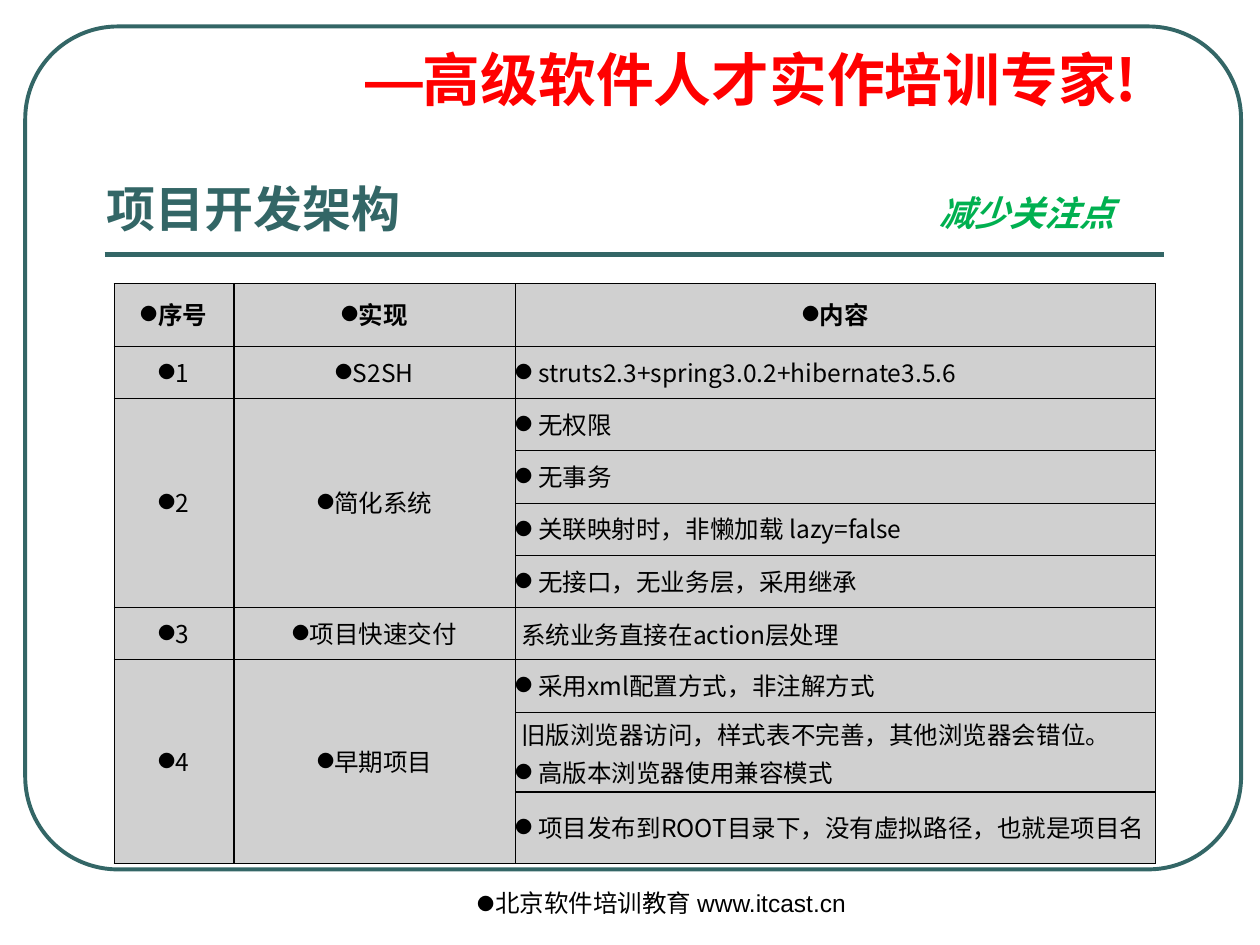
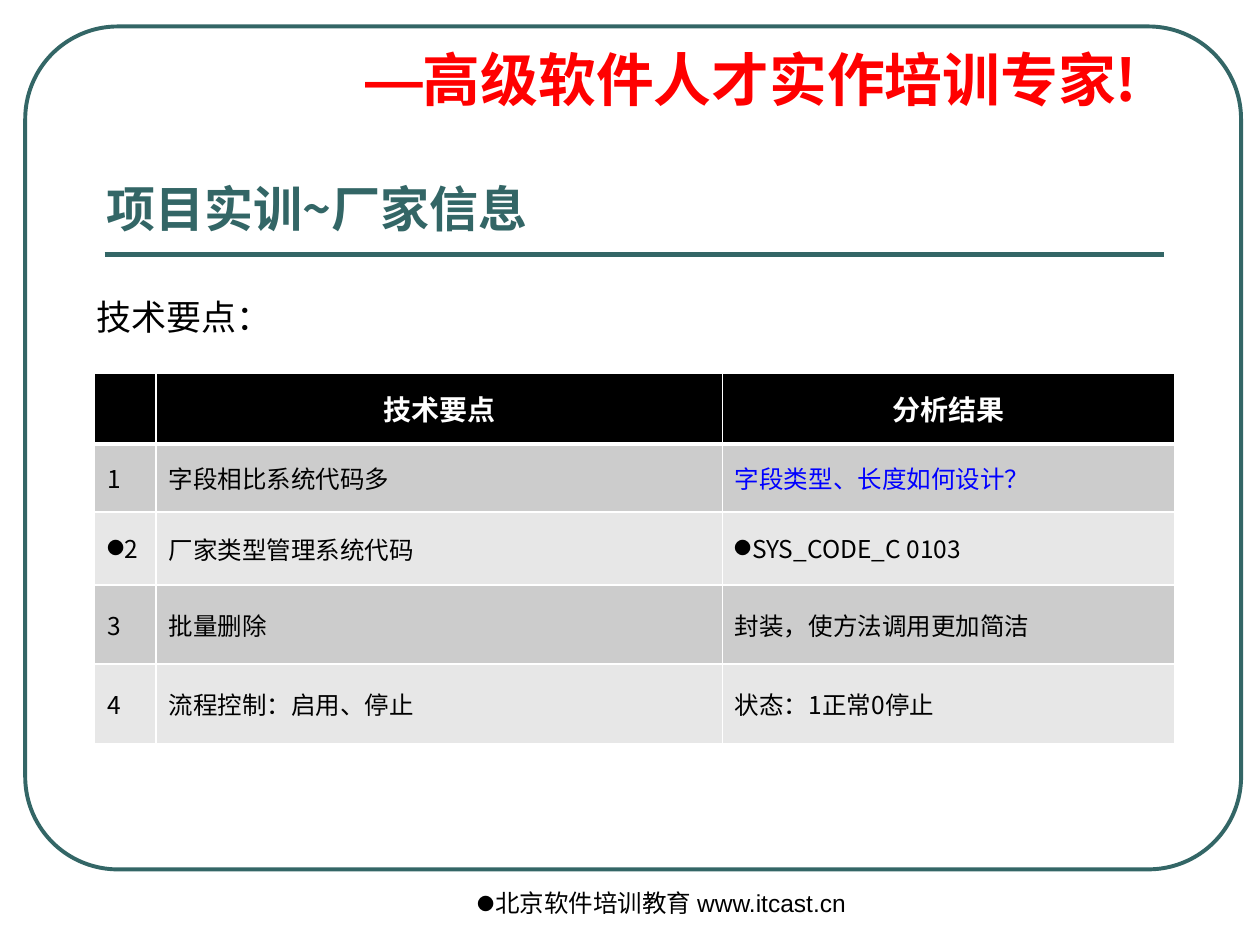
from dataclasses import dataclass

from lxml.etree import SubElement
from pptx import Presentation
from pptx.dml.color import RGBColor
from pptx.enum.shapes import MSO_CONNECTOR, MSO_SHAPE
from pptx.enum.text import MSO_ANCHOR, PP_ALIGN
from pptx.oxml.ns import qn
from pptx.util import Pt


@dataclass(frozen=True)
class Theme:
    teal: str = "336666"
    red: str = "FF0000"
    green: str = "00B050"
    blue: str = "0000FF"
    black: str = "000000"
    white: str = "FFFFFF"
    grid_gray: str = "D0D0D0"
    band_dark: str = "CCCCCC"
    band_light: str = "E7E7E7"
    cjk: str = "Noto Sans CJK SC"
    cjk_alt: str = "Noto Sans CJK JP"
    latin: str = "Arial"
    dash: str = "Montserrat"
    banner: int = 33
    title: int = 28
    label: int = 20
    head: int = 16
    body: int = 14


T = Theme()
LEFT, CENTER = PP_ALIGN.LEFT, PP_ALIGN.CENTER
BULLET = "●"


def rgb(color):
    return RGBColor.from_string(color)


def add_bullet(p):
    pPr = p._p.get_or_add_pPr()
    pPr.set("marL", "0")
    pPr.set("indent", "0")
    clr = SubElement(pPr, qn("a:buClr"))
    SubElement(clr, qn("a:srgbClr"), val=T.black)
    SubElement(pPr, qn("a:buSzPct"), val="70000")
    SubElement(pPr, qn("a:buFont"), typeface=T.cjk)
    SubElement(pPr, qn("a:buChar"), char=BULLET)


def write(tf, text, size=T.body, font=T.cjk, ea=None, color=T.black, bold=False,
          italic=False, align=LEFT, spacing=None, join=False):
    for i, line in enumerate(text.split("\n")):
        p = tf.add_paragraph() if i else tf.paragraphs[-1]
        if not join:
            p.alignment = align
            if line.startswith(BULLET):
                add_bullet(p)
                line = line[1:]
                p.line_spacing = 0.9
            if spacing:
                p.line_spacing = spacing
            if i:
                p.space_before = Pt(3)
        r = p.add_run()
        r.text = line
        r.font.size = Pt(size)
        r.font.bold = bold
        r.font.italic = italic
        r.font.color.rgb = rgb(color)
        r.font.name = font
        SubElement(r._r.get_or_add_rPr(), qn("a:ea"), typeface=ea or font)


def set_borders(cell, color, width, bottom):
    tcPr = cell._tc.get_or_add_tcPr()
    for i, side in enumerate("LRTB"):
        w = bottom if side == "B" else width
        ln = tcPr.makeelement(qn(f"a:ln{side}"), {"w": str(Pt(w))})
        fill = SubElement(ln, qn("a:solidFill"))
        SubElement(fill, qn("a:srgbClr"), val=color)
        tcPr.insert(i, ln)


class Deck:
    def __init__(self):
        self.prs = Presentation()
        self.prs.slide_width, self.prs.slide_height = Pt(720), Pt(540)
        self.s = None

    def text(self, x, y, w, h, text, wrap=True, anchor=MSO_ANCHOR.TOP, **fmt):
        tf = self.s.shapes.add_textbox(Pt(x), Pt(y), Pt(w), Pt(h)).text_frame
        tf.word_wrap = wrap
        tf.vertical_anchor = anchor
        write(tf, text, **fmt)
        return tf

    def frame(self, x, y, w, h):
        sp = self.s.shapes.add_shape(MSO_SHAPE.ROUNDED_RECTANGLE, Pt(x), Pt(y), Pt(w), Pt(h))
        sp.adjustments[0] = 0.11
        sp.shadow.inherit = False
        sp.fill.background()
        sp.line.color.rgb = rgb(T.teal)
        sp.line.width = Pt(2.25)

    def rule(self, x1, x2, y):
        c = self.s.shapes.add_connector(MSO_CONNECTOR.STRAIGHT, Pt(x1), Pt(y), Pt(x2), Pt(y))
        c.line.color.rgb = rgb(T.teal)
        c.line.width = Pt(3)
        SubElement(c._element.spPr, qn("a:effectLst"))

    def slide(self, title):
        self.s = self.prs.slides.add_slide(self.prs.slide_layouts[6])
        self.frame(14.4, 15.1, 694.8, 481.7)
        self.rule(59.8, 665.3, 145.4)
        tf = self.text(201.6, 25.9, 476, 43.2, "—", size=T.banner, font=T.dash,
                       color=T.red, bold=True, spacing=0.9)
        write(tf, "高级软件人才实作培训专家!", size=T.banner, color=T.red, bold=True, join=True)
        pPr = tf.paragraphs[0]._p.get_or_add_pPr()
        pPr.set("marL", str(Pt(27)))
        pPr.set("indent", str(-Pt(27)))
        self.text(264.2, 504, 228.2, 36, BULLET + "北京软件培训教育 www.itcast.cn",
                  font=T.latin, ea=T.cjk, align=CENTER, spacing=1.0)
        self.text(54, 25.9, 606.2, 139 - 25.9, title, size=T.title, color=T.teal,
                  bold=True, anchor=MSO_ANCHOR.BOTTOM)

    def table(self, x, y, cols, heights, rows, fills, border, width, aligns,
              head, colors=None, merges=(), inset=None, head_rule=None):
        gf = self.s.shapes.add_table(len(rows), len(cols), Pt(x), Pt(y),
                                     Pt(sum(cols)), Pt(sum(heights)))
        tbl = gf.table
        tbl.first_row = tbl.horz_banding = False
        for col, w in zip(tbl.columns, cols):
            col.width = Pt(w)
        for i, (row, h) in enumerate(zip(rows, heights)):
            tbl.rows[i].height = Pt(h)
            for j, text in enumerate(row):
                cell = tbl.cell(i, j)
                cell.vertical_anchor = MSO_ANCHOR.MIDDLE
                if inset is not None:
                    cell.margin_left = cell.margin_right = Pt(inset)
                    cell.margin_top = cell.margin_bottom = Pt(inset)
                cell.fill.solid()
                cell.fill.fore_color.rgb = rgb(fills[i])
                set_borders(cell, border, width, width if i or not head_rule else head_rule)
                if text:
                    fmt = head if i == 0 else {"align": aligns[j]}
                    write(cell.text_frame, text, **{**fmt, **(colors or {}).get((i, j), {})})
        for first, last, j in merges:
            tbl.cell(first, j).merge(tbl.cell(last, j))


def architecture(deck):
    deck.slide("项目开发架构")
    rows = [
        ("●序号", "●实现", "●内容"),
        ("●1", "●S2SH", "● struts2.3+spring3.0.2+hibernate3.5.6"),
        ("●2", "●简化系统", "● 无权限"),
        ("", "", "● 无事务"),
        ("", "", "● 关联映射时，非懒加载 lazy=false"),
        ("", "", "● 无接口，无业务层，采用继承"),
        ("●3", "●项目快速交付", " 系统业务直接在action层处理"),
        ("●4", "●早期项目", "● 采用xml配置方式，非注解方式"),
        ("", "", " 旧版浏览器访问，样式表不完善，其他浏览器会错位。\n● 高版本浏览器使用兼容模式"),
        ("", "", "● 项目发布到ROOT目录下，没有虚拟路径，也就是项目名"),
    ]
    deck.table(65.3, 162.2, [68.4, 160.9, 365.9], [35.8] + [29.85] * 7 + [45.7, 41], rows,
               fills=[T.grid_gray] * len(rows), border=T.black, width=0.75,
               aligns=[CENTER, CENTER, LEFT], head={"bold": True, "align": CENTER},
               merges=[(a, b, j) for a, b in ((2, 5), (7, 9)) for j in (0, 1)], inset=0)
    deck.text(529.9, 108.7, 115.2, 28.8, "减少关注点", wrap=False, size=T.label,
              font=T.cjk_alt, color=T.green, bold=True, italic=True, spacing=0.9)


def vendor_info(deck):
    deck.slide("项目实训~厂家信息")
    deck.text(48.2, 167.8, 115.2, 28.8, "技术要点：", wrap=False, size=T.label, spacing=0.9)
    rows = [
        ("", "技术要点", "分析结果"),
        ("1", "字段相比系统代码多", "字段类型、长度如何设计？"),
        ("●2", "厂家类型管理系统代码", "●SYS_CODE_C 0103"),
        ("3", "批量删除", "封装，使方法调用更加简洁"),
        ("4", "流程控制：启用、停止", "状态：1正常0停止"),
    ]
    deck.table(54, 213.4, [35.2, 323.6, 258.8], [40.3, 38.9, 41.8, 45.2, 45.2], rows,
               fills=[T.black] + [T.band_dark, T.band_light] * 2, border=T.white, width=1,
               aligns=[LEFT] * 3, colors={(1, 2): {"color": T.blue}}, head_rule=3,
               head={"size": T.head, "color": T.white, "bold": True, "align": CENTER})


def main():
    deck = Deck()
    architecture(deck)
    vendor_info(deck)
    deck.prs.save("out.pptx")


if __name__ == "__main__":
    main()
